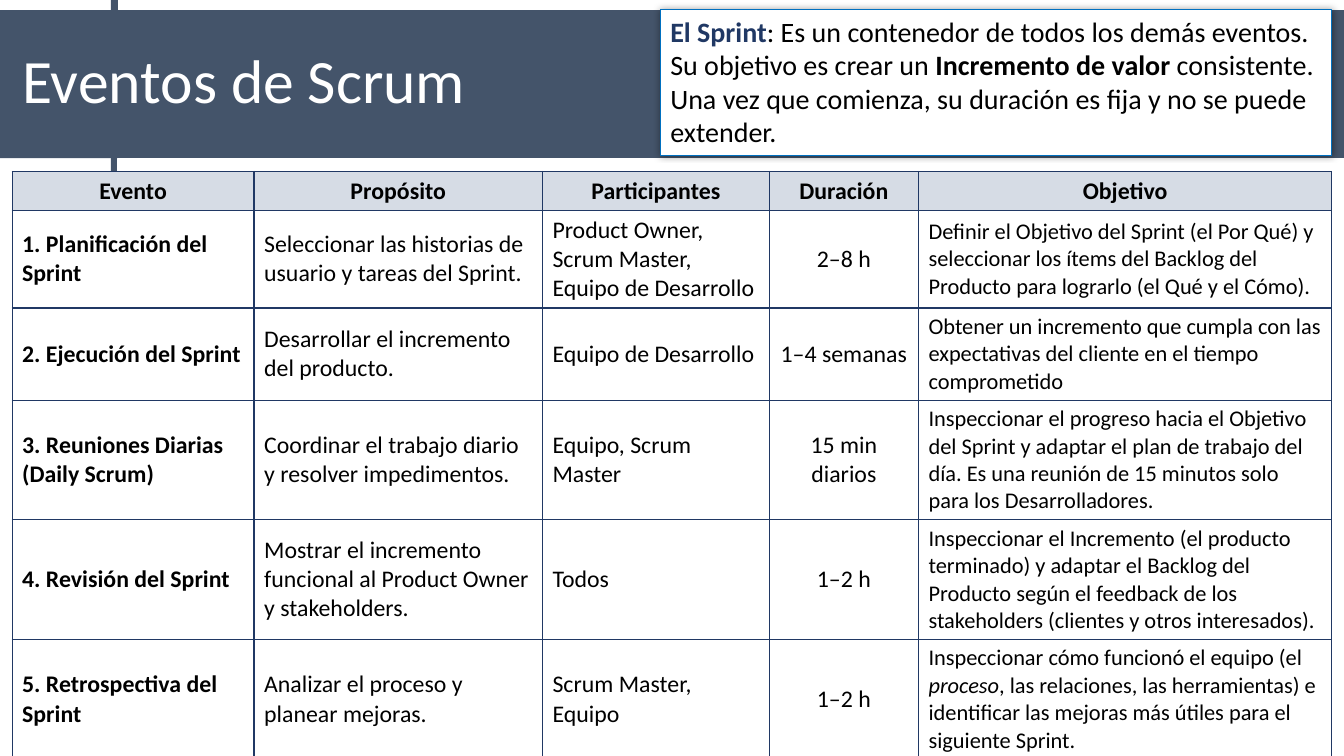
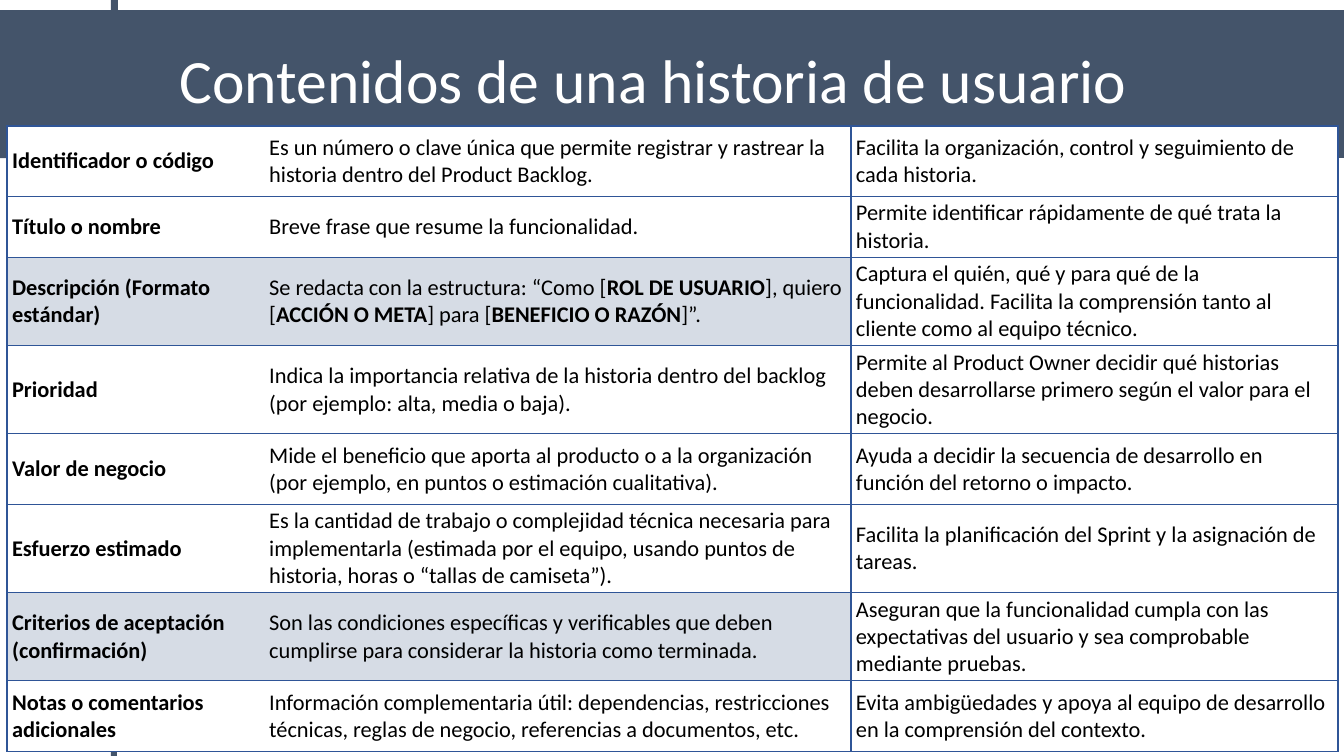
from lxml.etree import SubElement
from pptx import Presentation
from pptx.dml.color import RGBColor
from pptx.enum.shapes import MSO_SHAPE
from pptx.enum.text import MSO_ANCHOR, PP_ALIGN
from pptx.oxml.ns import qn
from pptx.util import Inches, Pt

FONT = "Calibri"
COLORS = {
    "band": "44546A", "white": "FFFFFF", "black": "000000", "navy": "203864",
    "blue": "2F5597", "callout_line": "0070C0", "shade": "D6DCE5",
}

# In the texts, *...* marks bold and _..._ marks italics.
CALLOUT = (
    "*El Sprint*: Es un contenedor de todos los demás eventos. Su objetivo es crear un "
    "*Incremento de valor* consistente. Una vez que comienza, su duración es fija y no se "
    "puede extender."
)
EVENTS = [
    ("*Evento*", "*Propósito*", "*Participantes*", "*Duración*", "*Objetivo*"),
    ("*1. Planificación del Sprint*",
     "Seleccionar las historias de usuario y tareas del Sprint.",
     "Product Owner, Scrum Master, Equipo de Desarrollo", "2–8 h",
     "Definir el Objetivo del Sprint (el Por Qué) y seleccionar los ítems del Backlog del "
     "Producto para lograrlo (el Qué y el Cómo)."),
    ("*2. Ejecución del Sprint*", "Desarrollar el incremento del producto.",
     "Equipo de Desarrollo", "1–4 semanas",
     "Obtener un incremento que cumpla con las expectativas del cliente en el tiempo "
     "comprometido"),
    ("*3. Reuniones Diarias (Daily Scrum)*",
     "Coordinar el trabajo diario y resolver impedimentos.",
     "Equipo, Scrum Master", "15 min diarios",
     "Inspeccionar el progreso hacia el Objetivo del Sprint y adaptar el plan de trabajo del "
     "día. Es una reunión de 15 minutos solo para los Desarrolladores."),
    ("*4. Revisión del Sprint*",
     "Mostrar el incremento funcional al Product Owner y stakeholders.", "Todos", "1–2 h",
     "Inspeccionar el Incremento (el producto terminado) y adaptar el Backlog del Producto "
     "según el feedback de los stakeholders (clientes y otros interesados)."),
    ("*5. Retrospectiva del Sprint*", "Analizar el proceso y planear mejoras.",
     "Scrum Master, Equipo", "1–2 h",
     "Inspeccionar cómo funcionó el equipo (el _proceso_, las relaciones, las herramientas) e "
     "identificar las mejoras más útiles para el siguiente Sprint."),
]
STORY_PARTS = [
    ("*Identificador o código*",
     "Es un número o clave única que permite registrar y rastrear la historia dentro del "
     "Product Backlog.",
     "Facilita la organización, control y seguimiento de cada historia."),
    ("*Título o nombre*", "Breve frase que resume la funcionalidad.",
     "Permite identificar rápidamente de qué trata la historia."),
    ("*Descripción (Formato estándar)*",
     "Se redacta con la estructura: “Como [*ROL DE USUARIO*], quiero [*ACCIÓN O META*] para "
     "[*BENEFICIO O RAZÓN*]”.",
     "Captura el quién, qué y para qué de la funcionalidad. Facilita la comprensión tanto al "
     "cliente como al equipo técnico."),
    ("*Prioridad*",
     "Indica la importancia relativa de la historia dentro del backlog (por ejemplo: alta, "
     "media o baja).",
     "Permite al Product Owner decidir qué historias deben desarrollarse primero según el "
     "valor para el negocio."),
    ("*Valor de negocio*",
     "Mide el beneficio que aporta al producto o a la organización (por ejemplo, en puntos o "
     "estimación cualitativa).",
     "Ayuda a decidir la secuencia de desarrollo en función del retorno o impacto."),
    ("*Esfuerzo estimado*",
     "Es la cantidad de trabajo o complejidad técnica necesaria para implementarla (estimada "
     "por el equipo, usando puntos de historia, horas o “tallas de camiseta”).",
     "Facilita la planificación del Sprint y la asignación de tareas."),
    ("*Criterios de aceptación (confirmación)*",
     "Son las condiciones específicas y verificables que deben cumplirse para considerar la "
     "historia como terminada.",
     "Aseguran que la funcionalidad cumpla con las expectativas del usuario y sea comprobable "
     "mediante pruebas."),
    ("*Notas o comentarios adicionales*",
     "Información complementaria útil: dependencias, restricciones técnicas, reglas de "
     "negocio, referencias a documentos, etc.",
     "Evita ambigüedades y apoya al equipo de desarrollo en la comprensión del contexto."),
]
SHADED_STORY_ROWS = (2, 6)


def color(name):
    return RGBColor.from_string(COLORS[name])


def write_marked(paragraph, text, size, align=PP_ALIGN.LEFT):
    """Fill the paragraph with runs, turning the * and _ marks into bold and italics."""
    paragraph.alignment = align
    for bold_index, bold_part in enumerate(text.split("*")):
        for italic_index, part in enumerate(bold_part.split("_")):
            if part:
                run = paragraph.add_run()
                run.text = part
                font = run.font
                font.name, font.size = FONT, Pt(size)
                font.bold, font.italic = bold_index % 2 == 1, italic_index % 2 == 1
                font.color.rgb = color("black")


def add_rectangle(slide, box, fill, line=None, line_width=1):
    shape = slide.shapes.add_shape(MSO_SHAPE.RECTANGLE, *map(Inches, box))
    shape.shadow.inherit = False
    shape.fill.solid()
    shape.fill.fore_color.rgb = color(fill)
    if line:
        shape.line.color.rgb = color(line)
        shape.line.width = Pt(line_width)
    else:
        shape.line.fill.background()
    return shape


def decorate_layout(layout, slide):
    """Draw the shared band, bar and panel, and move them behind the layout's content."""
    decorations = [
        add_rectangle(slide, (0, 0.1, 13.33, 1.47), "band"),
        add_rectangle(slide, (1.1, 0, 0.07, 7.5), "band"),
        add_rectangle(slide, (1.17, 1.57, 12.16, 5.93), "white", "white"),
    ]
    for index, shape in enumerate(decorations):
        shape.element.nvSpPr.cNvPr.set("id", str(100 + index))
        layout.shapes.element.insert(2 + index, shape.element)


def set_title(slide, text, left, width):
    title = slide.shapes.title
    title.left, title.top, title.width, title.height = map(Inches, (left, 0.26, width, 1.13))
    frame = title.text_frame
    frame.text = text
    frame.vertical_anchor = MSO_ANCHOR.MIDDLE
    paragraph = frame.paragraphs[0]
    paragraph.alignment = PP_ALIGN.LEFT
    paragraph.line_spacing = 0.9
    font = paragraph.runs[0].font
    font.name, font.size = FONT, Pt(44)
    font.color.rgb = color("white")


def set_borders(cell, line, hidden_side):
    properties = cell._tc.get_or_add_tcPr()
    for side in "LRTB":
        border = SubElement(properties, qn(f"a:ln{side}"), w=str(Pt(1)))
        if side == hidden_side:
            SubElement(border, qn("a:noFill"))
        else:
            fill = SubElement(border, qn("a:solidFill"))
            SubElement(fill, qn("a:srgbClr"), val=COLORS[line])


def add_grid(slide, rows, left, top, widths, heights, margins, line, style, hidden_sides):
    """Add a table; style(row, column) gives each cell's fill, text size and alignment."""
    table = slide.shapes.add_table(
        len(rows), len(widths), Inches(left), Inches(top),
        Inches(sum(widths)), Inches(sum(heights))).table
    table.first_row = table.horz_banding = False
    for column, width in zip(table.columns, widths):
        column.width = Inches(width)
    for row, height in zip(table.rows, heights):
        row.height = Inches(height)
    for row_index, texts in enumerate(rows):
        for column_index, text in enumerate(texts):
            cell = table.cell(row_index, column_index)
            fill, size, align = style(row_index, column_index)
            set_borders(cell, line, hidden_sides.get(column_index))
            cell.fill.solid()
            cell.fill.fore_color.rgb = color(fill)
            cell.vertical_anchor = MSO_ANCHOR.MIDDLE
            cell.margin_left = cell.margin_right = Inches(margins[0])
            cell.margin_top = cell.margin_bottom = Inches(margins[1])
            write_marked(cell.text_frame.paragraphs[0], text, size, align)


def event_style(row, column):
    if row == 0:
        return "shade", 17, PP_ALIGN.CENTER
    align = PP_ALIGN.CENTER if column == 3 else PP_ALIGN.LEFT
    return "white", 16 if column == 4 else 17, align


def story_style(row, column):
    shaded = row in SHADED_STORY_ROWS and column < 2
    return "shade" if shaded else "white", 16, PP_ALIGN.LEFT


def add_callout(slide):
    callout = add_rectangle(slide, (6.55, 0.09, 6.66, 1.45), "white", "callout_line", 0.75)
    effects = callout.element.spPr.find(qn("a:effectLst"))
    shadow = SubElement(effects, qn("a:outerShdw"), blurRad=str(Pt(5)), dist="0", dir="0")
    shadow_color = SubElement(shadow, qn("a:srgbClr"), val=COLORS["black"])
    SubElement(shadow_color, qn("a:alpha"), val="40000")
    frame = callout.text_frame
    frame.word_wrap = True
    frame.vertical_anchor = MSO_ANCHOR.TOP
    paragraph = frame.paragraphs[0]
    write_marked(paragraph, CALLOUT, 20)
    paragraph.runs[0].font.color.rgb = color("navy")


def main():
    presentation = Presentation()
    presentation.slide_width, presentation.slide_height = Inches(13.33), Inches(7.5)
    layout = presentation.slide_layouts[5]

    slide = presentation.slides.add_slide(layout)
    decorate_layout(layout, slide)
    set_title(slide, "Eventos de Scrum", 0.12, 6.32)
    add_grid(slide, EVENTS, 0.12, 1.7, (2.4, 2.86, 2.25, 1.48, 4.1),
             (0.38, 0.96, 0.91, 1.18, 1.18, 1.18), (0.1, 0.05), "navy", event_style, {})
    add_callout(slide)

    slide = presentation.slides.add_slide(layout)
    set_title(slide, "Contenidos de una historia de usuario", 1.68, 10.95)
    add_grid(slide, STORY_PARTS, 0.07, 1.25, (2.55, 5.82, 4.83),
             (0.7, 0.6, 0.87, 0.87, 0.7, 0.87, 0.87, 0.7), (0.05, 0.03), "blue", story_style,
             {0: "R", 1: "L"})

    presentation.save("out.pptx")


if __name__ == "__main__":
    main()
